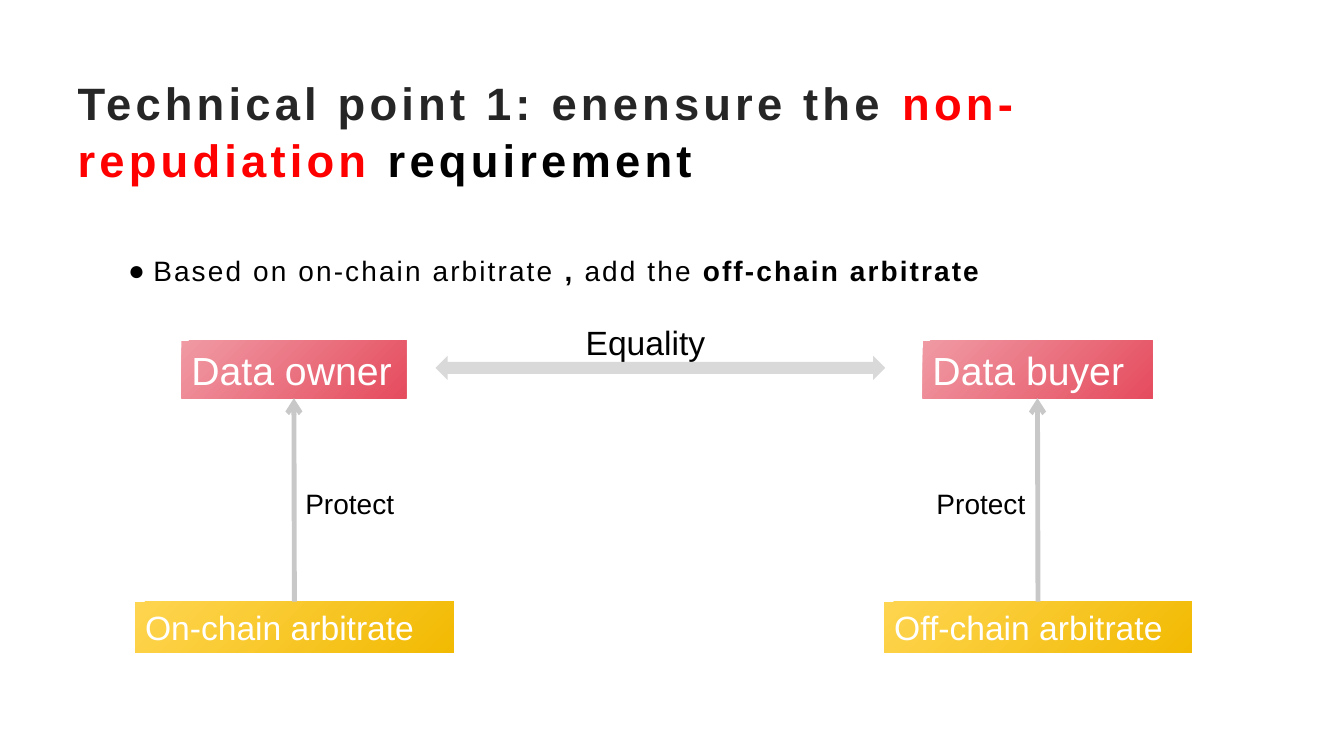
from lxml.etree import SubElement
from pptx import Presentation
from pptx.dml.color import RGBColor
from pptx.enum.shapes import MSO_CONNECTOR, MSO_SHAPE
from pptx.enum.text import MSO_ANCHOR, MSO_AUTO_SIZE, PP_ALIGN
from pptx.oxml.ns import qn
from pptx.util import Pt

PX = 9144
FONT = "Arial"
COLORS = {
    "title": "262626",
    "accent": "FF0000",
    "text": "000000",
    "label": "FFFFFF",
    "arrow": "C8C8C8",
    "equality": "D9D9D9",
}
GRADIENTS = {"party": ("F09AA4", "E54C5E"), "arbitrate": ("FED550", "F2BA02")}


def rgb(name):
    return RGBColor.from_string(COLORS[name])


def px(*lengths):
    return [length * PX for length in lengths]


def place(shape, box):
    shape.left, shape.top, shape.width, shape.height = px(*box)


def style(paragraph, size, color):
    paragraph.alignment = PP_ALIGN.LEFT
    paragraph.font.name = FONT
    paragraph.font.size = Pt(size)
    paragraph.font.color.rgb = rgb(color)


def add_run(paragraph, text, spacing):
    run = paragraph.add_run()
    run.text = text
    run._r.get_or_add_rPr().set("spc", str(spacing))
    return run


def write_title(title, box):
    place(title, box)
    frame = title.text_frame
    frame.auto_size = MSO_AUTO_SIZE.NONE
    frame.vertical_anchor = MSO_ANCHOR.MIDDLE
    heading = frame.paragraphs[0]
    style(heading, 32.4, "title")
    heading.font.bold = True
    heading.line_spacing = 1.05
    for text, color in (
        ("Technical point 1: enensure the ", "title"),
        ("non-repudiation ", "accent"),
        ("requirement", "text"),
    ):
        add_run(heading, text, 300).font.color.rgb = rgb(color)


def write_body(body, box):
    place(body, box)
    frame = body.text_frame
    frame.auto_size = MSO_AUTO_SIZE.NONE
    frame.vertical_anchor = MSO_ANCHOR.TOP
    frame.margin_top = 56 * PX
    point = frame.paragraphs[0]
    point.level = 1
    style(point, 20, "text")
    point.line_spacing = 1.2
    point.space_before = Pt(0)
    properties = point._p.get_or_add_pPr()
    properties.set("marL", str(125 * PX))
    properties.set("indent", str(-25 * PX))
    bullet = SubElement(properties, qn("a:buChar"))
    bullet.set("char", "●")
    properties.find(qn("a:defRPr")).addprevious(bullet)
    for text, bold in (
        ("Based on on-chain arbitrate", False),
        (" , ", True),
        ("add the ", False),
        ("off-chain arbitrate", True),
    ):
        add_run(point, text, 150).font.bold = bold


def add_role(slide, box, text, size, gradient):
    role = slide.shapes.add_shape(MSO_SHAPE.RECTANGLE, *px(*box))
    role.shadow.inherit = False
    role.line.fill.background()
    role.fill.gradient()
    role.fill.gradient_angle = 315
    for stop, position, color in zip(role.fill.gradient_stops, (0, 1), GRADIENTS[gradient]):
        stop.position = position
        stop.color.rgb = RGBColor.from_string(color)
    role.text_frame.word_wrap = True
    role.text_frame.text = text
    style(role.text_frame.paragraphs[0], size, "label")
    return role


def add_label(slide, box, text, size):
    frame = slide.shapes.add_textbox(*px(*box)).text_frame
    frame.word_wrap = True
    frame.text = text
    style(frame.paragraphs[0], size, "text")


def add_protection(slide, arbitrate, party):
    arrow = slide.shapes.add_connector(MSO_CONNECTOR.STRAIGHT, 0, 0, 0, 0)
    arrow.begin_connect(arbitrate, 0)
    arrow.end_connect(party, 2)
    arrow.line.color.rgb = rgb("arrow")
    arrow.line.width = Pt(3.5)
    SubElement(arrow.line._get_or_add_ln(), qn("a:tailEnd")).set("type", "arrow")
    SubElement(arrow._element.spPr, qn("a:effectLst"))


def add_side(slide, box, party, arbitrate, party_width, label_left):
    left, top, width, height = box
    party_left = left + (width - party_width) // 2
    party_box = add_role(slide, (party_left, top, party_width, 57), party, 28, "party")
    arbitrate_box = add_role(
        slide, (left, top + height - 50, width, 50), arbitrate, 24, "arbitrate"
    )
    add_protection(slide, arbitrate_box, party_box)
    add_label(slide, (left + label_left, top + 140, 120, 44), "Protect", 20)


def add_equality(slide, box):
    left, top, width, height = box
    add_label(slide, (left + 139, top, 169, 50), "Equality", 24)
    arrow = slide.shapes.add_shape(
        MSO_SHAPE.LEFT_RIGHT_ARROW, *px(left, top + height - 24, width, 24)
    )
    arrow.shadow.inherit = False
    arrow.fill.solid()
    arrow.fill.fore_color.rgb = rgb("equality")
    arrow.line.fill.background()


def main():
    presentation = Presentation()
    presentation.slide_width, presentation.slide_height = px(1333, 750)
    slide = presentation.slides.add_slide(presentation.slide_layouts[1])
    title, body = slide.placeholders
    write_title(title, (67, 67, 1200, 123))
    write_body(body, (17, 189, 1200, 212))
    add_side(slide, (134, 338, 316, 309), "Data owner", "On-chain arbitrate", 223, 159)
    add_side(slide, (877, 338, 305, 309), "Data buyer", "Off-chain arbitrate", 228, 42)
    add_equality(slide, (432, 314, 446, 63))
    presentation.save("out.pptx")


if __name__ == "__main__":
    main()
